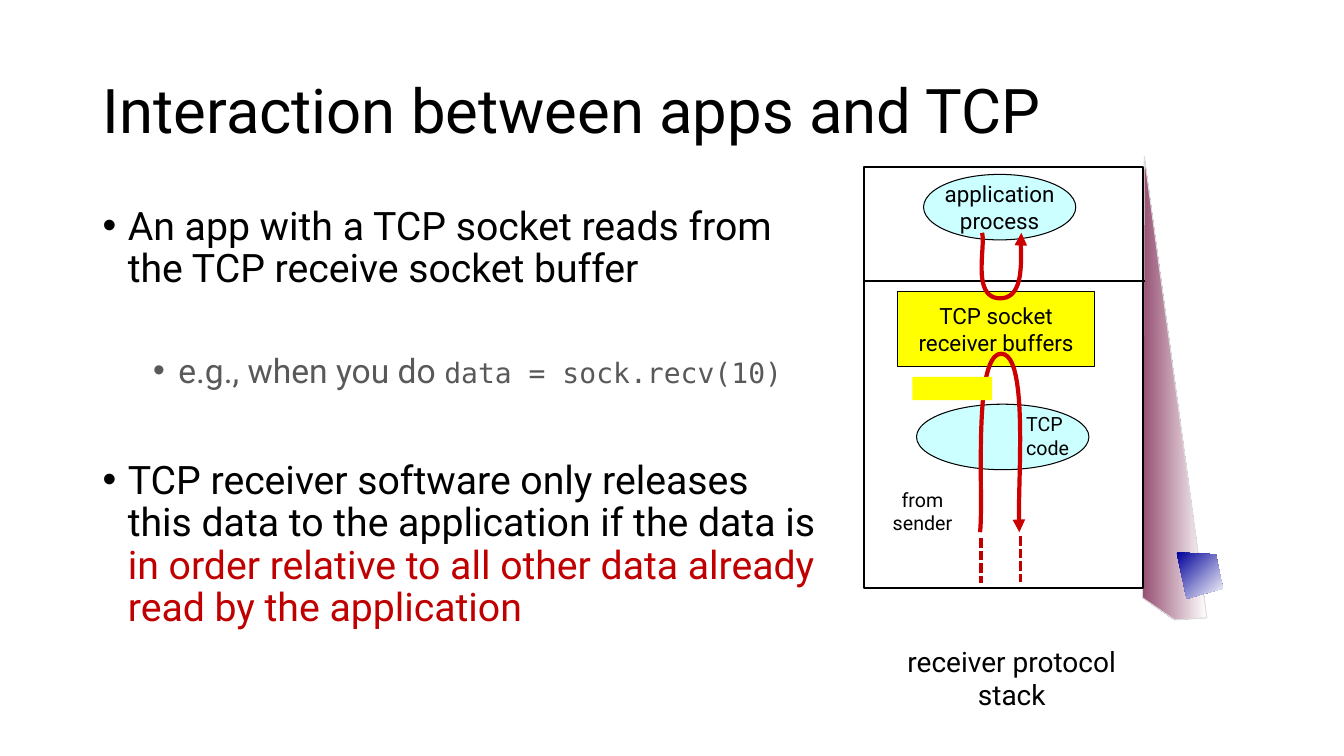
import pptx
import pptx.dml.color
import pptx.enum.dml
import pptx.enum.shapes
import pptx.enum.text
import pptx.oxml
import pptx.oxml.ns
import pptx.util

Inches, Pt = pptx.util.Inches, pptx.util.Pt
RGB = pptx.dml.color.RGBColor.from_string
SHAPE = pptx.enum.shapes.MSO_SHAPE
ALIGN = pptx.enum.text.PP_ALIGN
ANCHOR = pptx.enum.text.MSO_ANCHOR
NS = pptx.oxml.ns.nsdecls("a")

COLORS = {
    "black": "000000", "white": "FFFFFF", "grey": "595959", "red": "C00000",
    "arrow": "CC0000", "cyan": "CCFFFF", "yellow": "FFFF00",
    "plum": "954F72", "navy": "000099", "edge": "DDDDDD",
}


def write(tf, text, p=None, size=16, color="black", font="Roboto", align=ALIGN.CENTER):
    """Add text to paragraph p, or fill the frame with one unwrapped paragraph per line."""
    if p is None:
        tf.word_wrap = False
    for i, line in enumerate(text.split("\n")):
        par = p
        if par is None:
            par = tf.add_paragraph() if i else tf.paragraphs[0]
            par.alignment = align
        r = par.add_run()
        r.text = line
        r.font.size = Pt(size)
        r.font.name = font
        r.font.color.rgb = RGB(COLORS[color])


def add_outline(s, points, close):
    """Draw straight segments through points given in inches."""
    corners = [(Inches(x), Inches(y)) for x, y in points]
    builder = s.shapes.build_freeform(*corners[0])
    builder.add_line_segments(corners[1:], close=close)
    sp = builder.convert_to_shape()
    sp.shadow.inherit = False
    return sp


prs = pptx.Presentation()
prs.slide_width, prs.slide_height = Inches(13.33), Inches(7.5)
s = prs.slides.add_slide(prs.slide_layouts[5])

# Title
title = s.shapes.title
title.left, title.top = Inches(0.92), Inches(0.4)
title.width, title.height = Inches(11.5), Inches(1.45)
tf = title.text_frame
tf.auto_size = pptx.enum.text.MSO_AUTO_SIZE.NONE
tf.vertical_anchor = ANCHOR.MIDDLE
p = tf.paragraphs[0]
p.alignment, p.line_spacing = ALIGN.LEFT, 0.9
write(tf, "Interaction between apps and TCP", p, size=44)

# Bullets: level, space before, runs
bullets = [
    (0, 0, [("An app with a TCP socket reads from the TCP receive socket buffer", {"size": 28})]),
    (1, 45, [("e.g., when you do ", {"size": 24, "color": "grey"}),
             ("data = sock.recv(10)", {"size": 20, "color": "grey", "font": "DejaVu Sans Mono"})]),
    (0, 50, [("TCP receiver software only releases this data to the application if the data is ",
              {"size": 28}),
             ("in order relative to all other data already read by the application",
              {"size": 28, "color": "red"})]),
]
tf = s.shapes.add_textbox(Inches(0.92), Inches(2), Inches(7.27), Inches(4.76)).text_frame
tf.word_wrap = True
for i, (level, before, runs) in enumerate(bullets):
    p = tf.add_paragraph() if i else tf.paragraphs[0]
    p.level, p.line_spacing, p.space_before = level, 0.9, Pt(before)
    pPr = p._p.get_or_add_pPr()
    pPr.set("marL", str(Inches(0.25 + 0.5 * level)))
    pPr.set("indent", str(Inches(-0.25)))
    pPr.append(pptx.oxml.parse_xml(f'<a:buFont {NS} typeface="Arial"/>'))
    pPr.append(pptx.oxml.parse_xml(f'<a:buChar {NS} char="•"/>'))
    for text, fmt in runs:
        write(tf, text, p, **fmt)

# Gradient side of the stack and the small tile beside it
gradients = [
    ("plum", 0, "edge", [(11.97, 6.13), (11.35, 1.55), (11.33, 5.93), (11.65, 6.15)]),
    ("navy", 315, None, [(11.67, 5.48), (12.06, 5.5), (12.13, 5.84), (11.77, 5.94)]),
]
for start, angle, edge, points in gradients:
    sp = add_outline(s, points, close=True)
    sp.fill.gradient()
    sp.fill.gradient_angle = angle
    for stop, position, color in zip(sp.fill.gradient_stops, (0, 1), (start, "white")):
        stop.position = position
        stop.color.rgb = RGB(COLORS[color])
    if edge:
        sp.line.color.rgb = RGB(COLORS[edge])
        sp.line.width = Pt(0.75)
    else:
        sp.line.fill.background()

# Layers of the stack
layers = [
    (SHAPE.RECTANGLE, 8.57, 1.66, 2.77, 4.17, "white", 1.5, ""),
    (SHAPE.OVAL, 9.16, 1.73, 1.51, 0.65, "cyan", 0.75, "application\nprocess"),
    (SHAPE.RECTANGLE, 8.9, 2.89, 1.96, 0.75, "yellow", 0.75, "TCP socket\nreceiver buffers"),
    (SHAPE.OVAL, 9.09, 4.01, 1.71, 0.65, "cyan", 0.75, ""),
]
for kind, x, y, w, h, fill, weight, text in layers:
    sp = s.shapes.add_shape(kind, Inches(x), Inches(y), Inches(w), Inches(h))
    sp.shadow.inherit = False
    sp.fill.solid()
    sp.fill.fore_color.rgb = RGB(COLORS[fill])
    sp.line.color.rgb = RGB(COLORS["black"])
    sp.line.width = Pt(weight)
    if text:
        sp.text_frame.vertical_anchor = ANCHOR.MIDDLE
        write(sp.text_frame, text)

labels = [
    (10.08, 4.04, 0.63, 0.57, "TCP\ncode", 14, ALIGN.LEFT),
    (8.53, 6.34, 3.01, 0.77, "receiver protocol\nstack", 20, ALIGN.CENTER),
    (8.53, 4.79, 1.24, 0.57, "from\nsender", 14, ALIGN.CENTER),
]
for x, y, w, h, text, size, align in labels:
    box = s.shapes.add_textbox(Inches(x), Inches(y), Inches(w), Inches(h))
    write(box.text_frame, text, size=size, align=align)

# Layer border and the dashed ends of the data path
lines = [
    (8.57, 2.79, 11.36, 2.79, "black", 1.5, None),
    (9.73, 5.34, 9.73, 5.78, "red", 2.25, pptx.enum.dml.MSO_LINE.SQUARE_DOT),
    (10.12, 5.32, 10.12, 5.77, "red", 2.25, pptx.enum.dml.MSO_LINE.SQUARE_DOT),
]
for x1, y1, x2, y2, color, weight, dash in lines:
    line = s.shapes.add_connector(pptx.enum.shapes.MSO_CONNECTOR.STRAIGHT,
                                  Inches(x1), Inches(y1), Inches(x2), Inches(y2))
    line.line.color.rgb = RGB(COLORS[color])
    line.line.width = Pt(weight)
    if dash:
        line.line.dash_style = dash
    line._element.spPr.append(pptx.oxml.parse_xml(f"<a:effectLst {NS}/>"))

# Curved arrows, each a chain of two cubic Bezier arcs
arrows = [
    [(9.72, 5.28), (9.76, 4.99), (9.64, 3.51), (9.93, 3.51),
     (10.22, 3.51), (10.08, 4.91), (10.11, 5.28)],
    [(9.74, 2.31), (9.78, 2.44), (9.63, 2.96), (9.92, 2.96),
     (10.21, 2.96), (10.1, 2.41), (10.13, 2.31)],
]
STEPS = 24
for controls in arrows:
    points = [controls[0]]
    for first in (0, 3):
        arc = controls[first:first + 4]
        for step in range(1, STEPS + 1):
            t = step / STEPS
            weights = ((1 - t) ** 3, 3 * t * (1 - t) ** 2, 3 * t * t * (1 - t), t ** 3)
            points.append(tuple(sum(k * c[axis] for k, c in zip(weights, arc))
                                for axis in (0, 1)))
    sp = add_outline(s, points, close=False)
    sp.fill.background()
    sp.line.color.rgb = RGB(COLORS["arrow"])
    sp.line.width = Pt(3)
    sp.line._get_or_add_ln().append(pptx.oxml.parse_xml(f'<a:tailEnd {NS} type="triangle"/>'))

# Segment lying over the data path
segment = s.shapes.add_shape(SHAPE.RECTANGLE, Inches(9.05), Inches(3.74), Inches(0.79), Inches(0.23))
segment.shadow.inherit = False
segment.fill.solid()
segment.fill.fore_color.rgb = RGB(COLORS["yellow"])
segment.line.fill.background()

prs.save("out.pptx")
